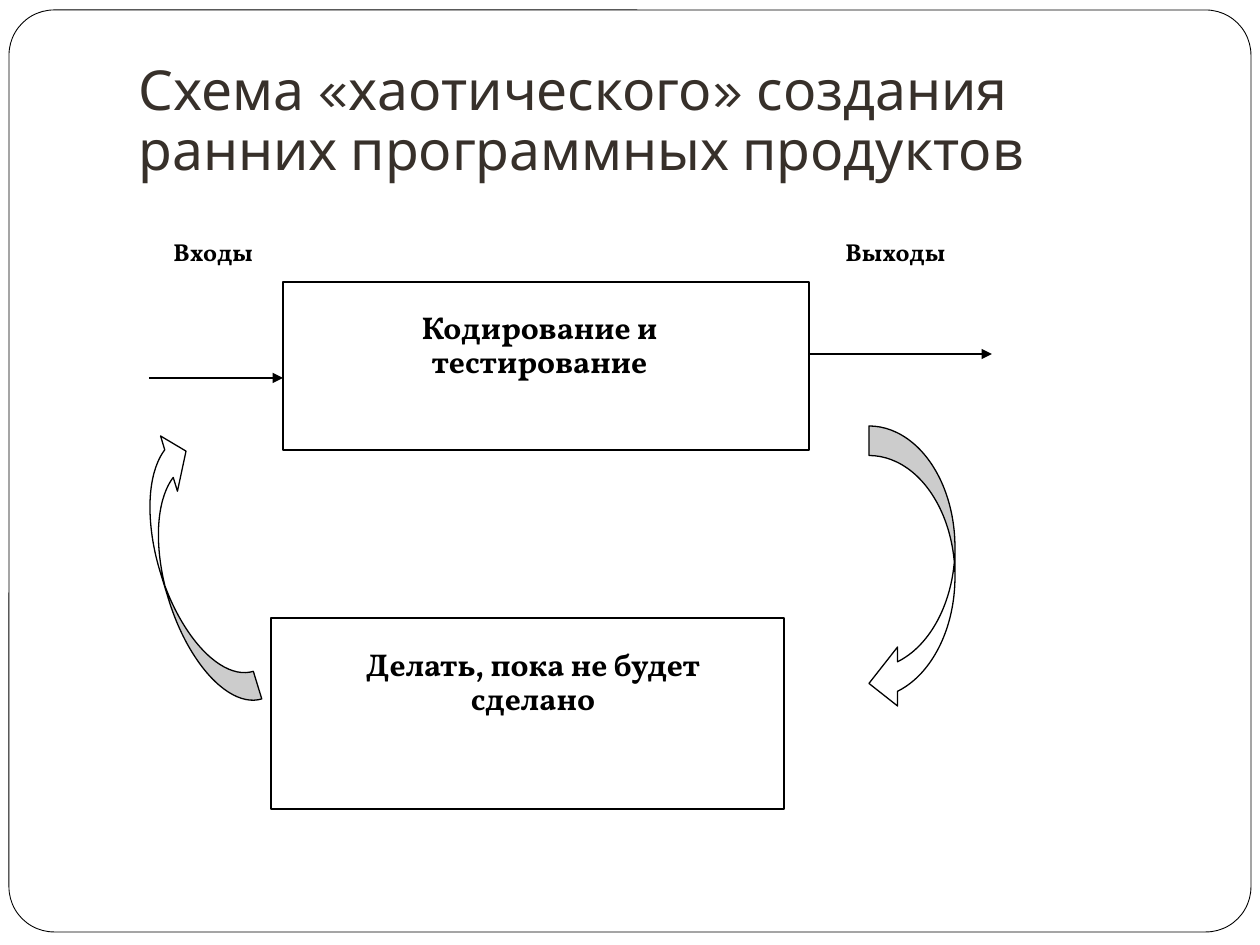
from lxml import etree
from pptx import Presentation
from pptx.dml.color import RGBColor
from pptx.enum.shapes import MSO_CONNECTOR, MSO_SHAPE
from pptx.enum.text import MSO_ANCHOR, MSO_AUTO_SIZE, PP_ALIGN
from pptx.oxml.ns import qn
from pptx.util import Emu, Pt

PX = 914400 // 126
THEME = dict(
    paper=RGBColor(0xFF, 0xFF, 0xFF), ink=RGBColor(0, 0, 0), title=RGBColor(0x37, 0x30, 0x2A),
    title_font="Karla", body_font="Vollkorn",
    title_size=31.5, box_size=18, label_size=14, frame_line=0.5, line=0.75,
)

TITLE = ("Схема «хаотического» создания ранних программных продуктов", (126, 38, 1071, 157))
FRAME = (9, 10, 1242, 922)
# outer box, text area, wording
STAGES = [
    ((283, 282, 526, 168), (307, 306, 465, 120), "Кодирование и тестирование"),
    ((271, 618, 513, 191), (307, 643, 452, 144), "Делать, пока не будет сделано"),
]
FLOWS = [((149, 378), (283, 378)), ((809, 354), (992, 354))]
LABELS = [((161, 234, 110, 120), "Входы"), ((833, 234, 159, 96), "Выходы")]
# place, rotation, adjustments
LOOPS = [
    ((869, 426, 86, 287), 0, (0.343, 0.686, 0.333)),
    ((161, 426, 60, 288), 163, (0.481, 0.962, 0.333)),
]


def emu(lengths):
    """Turn pixel lengths into EMU."""
    return [Emu(n * PX) for n in lengths]


def style(paragraph, font, size, color, bold=False):
    """Set the spacing and font of a paragraph."""
    paragraph.line_spacing = 0.9
    f = paragraph.font
    f.name, f.size, f.bold = font, Pt(size), bold
    f.color.rgb = color


def add_shape(slide, kind, place, line=None, adjustments=(), rotation=0):
    """Add a white shape, outlined when a line width is given."""
    shape = slide.shapes.add_shape(kind, *emu(place))
    shape.shadow.inherit = False
    shape.rotation = rotation
    for i, value in enumerate(adjustments):
        shape.adjustments[i] = value
    shape.fill.solid()
    shape.fill.fore_color.rgb = THEME["paper"]
    if line:
        shape.line.color.rgb = THEME["ink"]
        shape.line.width = Pt(line)
    else:
        shape.line.fill.background()
    return shape


def add_text(slide, place, text, size, align):
    """Add a white rectangle with bold text at its top."""
    frame = add_shape(slide, MSO_SHAPE.RECTANGLE, place).text_frame
    frame.word_wrap = True
    frame.vertical_anchor = MSO_ANCHOR.TOP
    frame.text = text
    frame.paragraphs[0].alignment = align
    style(frame.paragraphs[0], THEME["body_font"], size, THEME["ink"], True)


def add_flow(slide, start, end):
    """Add a straight arrow."""
    flow = slide.shapes.add_connector(MSO_CONNECTOR.STRAIGHT, *emu(start + end))
    flow.line.color.rgb = THEME["ink"]
    flow.line.width = Pt(THEME["line"])
    etree.SubElement(flow.line._get_or_add_ln(), qn("a:tailEnd"), type="triangle")
    etree.SubElement(flow._element.spPr, qn("a:effectLst"))


def fill_title(slide):
    """Place and format the title."""
    text, place = TITLE
    title = slide.shapes.title
    title.left, title.top, title.width, title.height = emu(place)
    frame = title.text_frame
    frame.text = text
    frame.word_wrap = True
    frame.auto_size = MSO_AUTO_SIZE.NONE
    frame.vertical_anchor = MSO_ANCHOR.BOTTOM
    frame.margin_bottom = Emu(91440)
    frame.paragraphs[0].alignment = PP_ALIGN.LEFT
    style(frame.paragraphs[0], THEME["title_font"], THEME["title_size"], THEME["title"])


def build():
    """Build and save the slide."""
    prs = Presentation()
    prs.slide_width, prs.slide_height = emu((1260, 945))
    slide = prs.slides.add_slide(prs.slide_layouts[5])
    frame = add_shape(slide, MSO_SHAPE.ROUNDED_RECTANGLE, FRAME, THEME["frame_line"], (0.049,))
    slide.shapes.title._element.addprevious(frame._element)
    fill_title(slide)
    for box, area, text in STAGES:
        add_shape(slide, MSO_SHAPE.RECTANGLE, box, THEME["line"])
        add_text(slide, area, text, THEME["box_size"], PP_ALIGN.CENTER)
    for start, end in FLOWS:
        add_flow(slide, start, end)
    for place, text in LABELS:
        add_text(slide, place, text, THEME["label_size"], PP_ALIGN.LEFT)
    for place, rotation, adjustments in LOOPS:
        add_shape(slide, MSO_SHAPE.CURVED_LEFT_ARROW, place, THEME["line"], adjustments, rotation)
    prs.save("out.pptx")


build()
